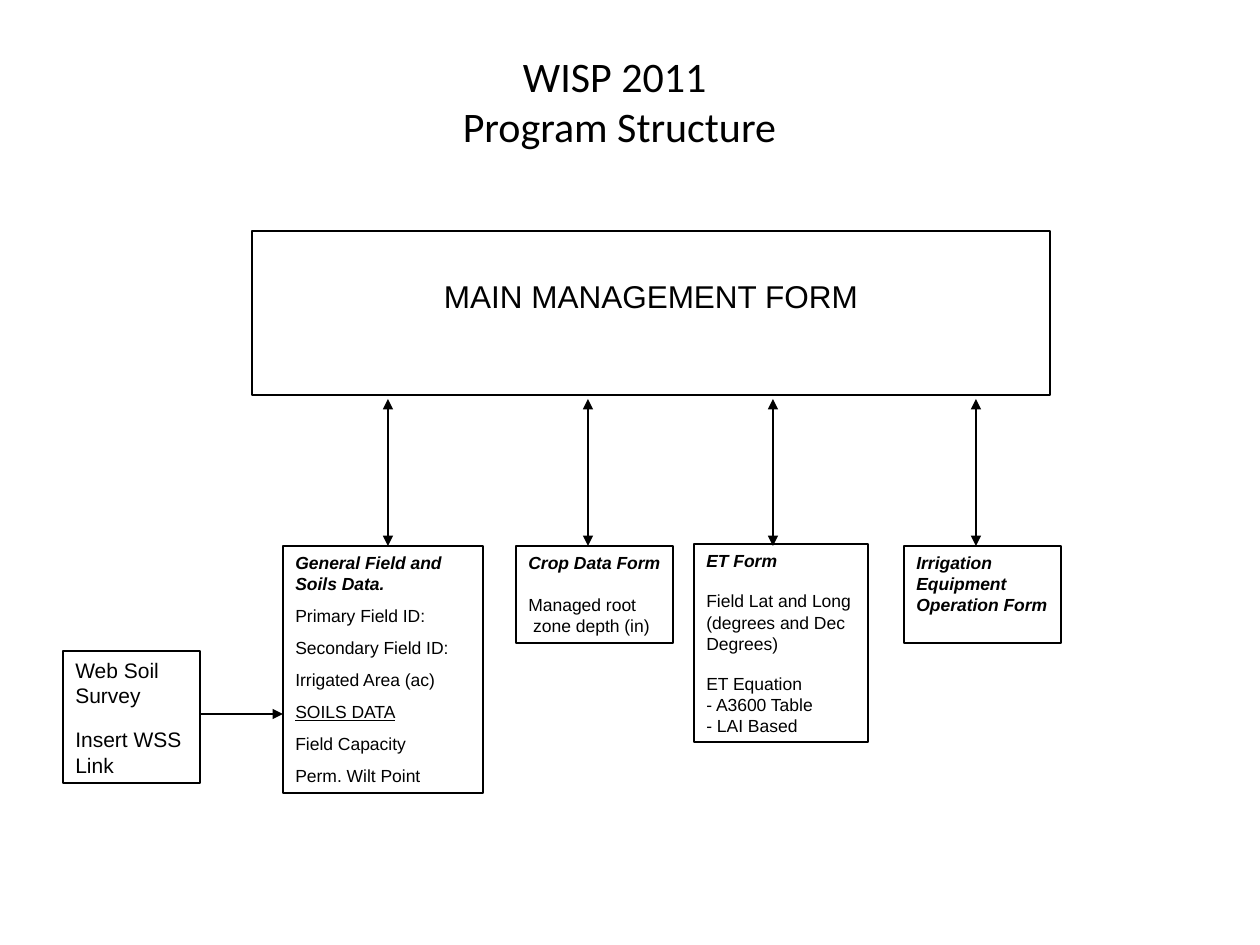
from lxml import etree
from pptx import Presentation
from pptx.dml.color import RGBColor
from pptx.enum.shapes import MSO_CONNECTOR, MSO_SHAPE
from pptx.enum.text import MSO_ANCHOR, PP_ALIGN
from pptx.oxml.ns import qn
from pptx.util import Emu, Pt

STRAIGHT = MSO_CONNECTOR.STRAIGHT
RECTANGLE = MSO_SHAPE.RECTANGLE
TOP, MIDDLE = MSO_ANCHOR.TOP, MSO_ANCHOR.MIDDLE
LEFT, CENTER = PP_ALIGN.LEFT, PP_ALIGN.CENTER

PX_PER_INCH = 126
BLACK = "000000"
FORM_TOP = 546
ARROW_TOP = 399
ARROW_XS = (388, 588, 773, 976)

# Each form: box, wraps, text size, lines of (text, style, space before in points).
FORMS = [
    ((283, FORM_TOP, 200, 247), True, 10, [
        ("General Field and Soils Data.", "heading", 0),
        ("Primary Field ID:", "", 6.2),
        ("Secondary Field ID:", "", 6.2),
        ("Irrigated Area (ac)", "", 6.2),
        ("SOILS DATA", "underline", 6.2),
        ("Field Capacity", "", 6.2),
        ("Perm. Wilt Point", "", 6.2),
    ]),
    ((63, 651, 137, 132), True, 12, [
        ("Web Soil Survey", "", 0),
        ("Insert WSS Link", "", 11),
    ]),
    ((516, FORM_TOP, 157, 97), False, 10, [
        ("Crop Data Form", "heading", 0),
        ("Managed root", "", 12),
        (" zone depth (in)", "", 0),
    ]),
    ((694, 544, 174, 198), False, 10, [
        ("ET Form", "heading", 0),
        ("Field Lat and Long", "", 11),
        ("(degrees and Dec", "", 0),
        ("Degrees)", "", 0),
        ("ET Equation", "", 11),
        ("- A3600 Table", "", 0),
        ("- LAI Based", "", 0),
    ]),
    ((904, FORM_TOP, 157, 97), False, 10, [
        ("Irrigation", "heading", 0),
        ("Equipment", "heading", 0),
        ("Operation Form", "heading", 0),
    ]),
]


def px(length):
    return Emu(round(length * 914400 / PX_PER_INCH))


def color(hex_value):
    return RGBColor.from_string(hex_value)


def write_lines(frame, lines, size, font="Arial", align=LEFT):
    """Fill the frame with one paragraph for each (text, style, space before)."""
    frame.text = "\n".join(text for text, _, _ in lines)
    for para, (_, style, space) in zip(frame.paragraphs, lines):
        para.alignment = align
        if space:
            para.space_before = Pt(space)
        for span in para.runs:
            span.font.name = font
            span.font.size = Pt(size)
            span.font.color.rgb = color(BLACK)
            if style == "heading":
                span.font.bold = span.font.italic = True
            elif style == "underline":
                span.font.underline = True


def add_title(page, box):
    frame = page.shapes.add_textbox(*map(px, box)).text_frame
    frame.word_wrap = True
    frame.vertical_anchor = MIDDLE
    write_lines(frame, [("WISP 2011 \vProgram Structure", "", 0)], 24, "Calibri", CENTER)


def add_outlined_box(page, box):
    shape = page.shapes.add_shape(RECTANGLE, *map(px, box))
    shape.shadow.inherit = False
    shape.fill.background()
    shape.line.color.rgb = color(BLACK)
    shape.line.width = Pt(1.5)
    shape.text_frame.vertical_anchor = TOP
    return shape


def add_main_form(page, box):
    frame = add_outlined_box(page, box).text_frame
    frame.margin_top = px(46)
    write_lines(frame, [("MAIN MANAGEMENT FORM", "", 0)], 18, align=CENTER)


def add_form(page, box, wraps, size, lines):
    frame = add_outlined_box(page, box).text_frame
    frame.word_wrap = wraps
    write_lines(frame, lines, size)


def add_arrow(page, start, end, both_ends=False):
    arrow = page.shapes.add_connector(STRAIGHT, *map(px, start + end))
    arrow.line.color.rgb = color(BLACK)
    arrow.line.width = Pt(0.75)
    line = arrow.line._get_or_add_ln()
    for tag in ("a:headEnd", "a:tailEnd") if both_ends else ("a:tailEnd",):
        etree.SubElement(line, qn(tag), type="triangle")
    etree.SubElement(arrow._element.spPr, qn("a:effectLst"))


def main():
    deck = Presentation()
    deck.slide_width, deck.slide_height = px(1260), px(945)
    page = deck.slides.add_slide(deck.slide_layouts[6])

    add_title(page, (315, 53, 609, 95))
    add_main_form(page, (252, 231, 798, 164))
    for form in FORMS:
        add_form(page, *form)
    for x in ARROW_XS:
        add_arrow(page, (x, FORM_TOP), (x, ARROW_TOP), both_ends=True)
    add_arrow(page, (200, 714), (283, 714))

    deck.save("out.pptx")


if __name__ == "__main__":
    main()
